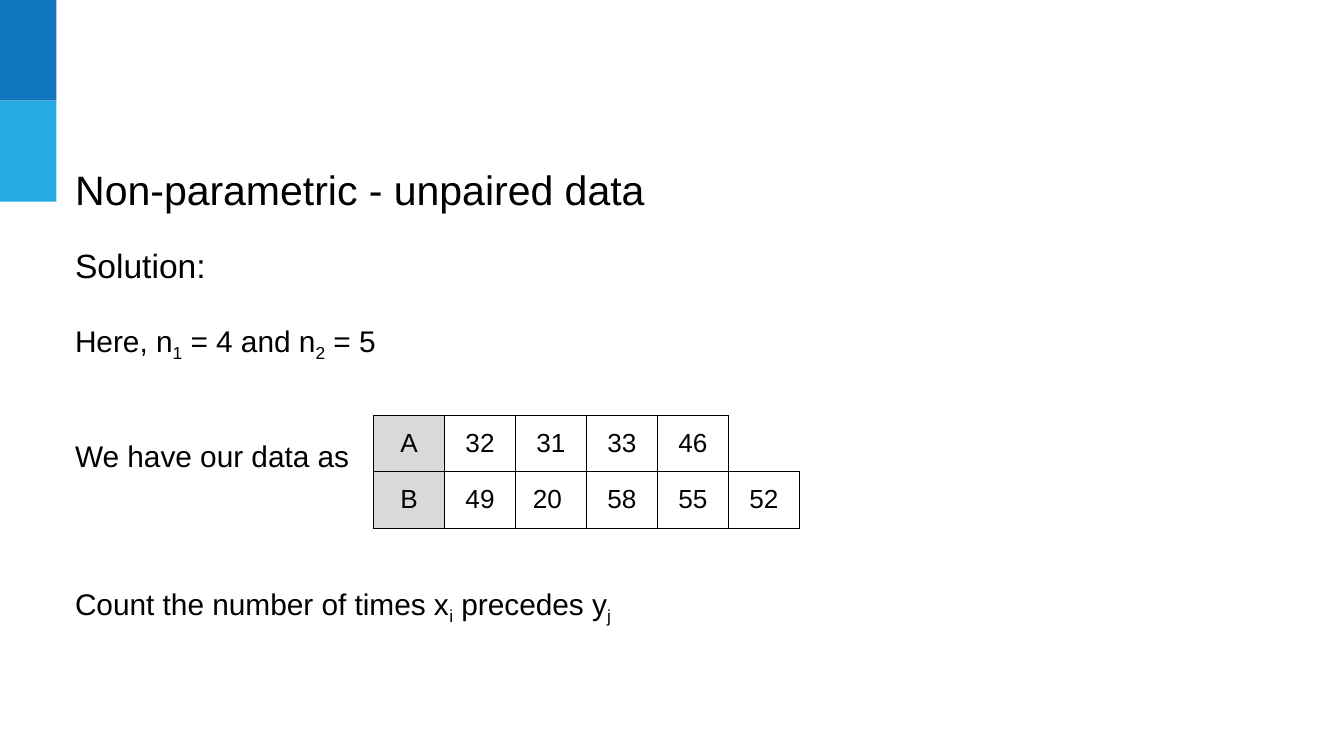
import dataclasses

import lxml.etree
import pptx
import pptx.dml.color
import pptx.enum.shapes
import pptx.enum.text
import pptx.oxml.ns
import pptx.util

Inches = pptx.util.Inches
Pt = pptx.util.Pt


@dataclasses.dataclass(frozen=True)
class Theme:
    """Colours, font and type sizes of the slide."""
    font: str = "Arial"
    text: str = "000000"
    dark_blue: str = "0F75BD"
    light_blue: str = "25AAE2"
    header: str = "D9D9D9"
    border: str = "000000"
    border_width: float = 0.75
    title_size: int = 22
    heading_size: int = 18
    body_size: int = 16
    table_size: int = 14


THEME = Theme()
MARGIN = Inches(0.1)


def colour(value):
    """Return an RGB colour from its hex value."""
    return pptx.dml.color.RGBColor.from_string(value)


def add_run(paragraph, text, size, subscript=False):
    """Append one formatted run to a paragraph."""
    run = paragraph.add_run()
    run.text = text
    run.font.name = THEME.font
    run.font.size = Pt(size)
    run.font.color.rgb = colour(THEME.text)
    if subscript:
        run.font._element.set("baseline", "-25000")


def prepare_frame(text_frame):
    """Give a text frame its margins, wrapping and top anchor."""
    text_frame.margin_left = text_frame.margin_right = MARGIN
    text_frame.margin_top = text_frame.margin_bottom = MARGIN
    text_frame.word_wrap = True
    text_frame.auto_size = pptx.enum.text.MSO_AUTO_SIZE.NONE
    text_frame.vertical_anchor = pptx.enum.text.MSO_ANCHOR.TOP


def add_side_band(slide, left, top, width, height):
    """Stack the two blue blocks in the given box."""
    fills = (THEME.dark_blue, THEME.light_blue)
    block_height = height / len(fills)
    for index, fill in enumerate(fills):
        block = slide.shapes.add_shape(
            pptx.enum.shapes.MSO_SHAPE.RECTANGLE, Inches(left),
            Inches(top + index * block_height), Inches(width), Inches(block_height))
        block.shadow.inherit = False
        block.fill.solid()
        block.fill.fore_color.rgb = colour(fill)
        block.line.fill.background()


def place_title(slide, text, left, top, width, height):
    """Move the title placeholder to the box and fill it."""
    title = slide.shapes.title
    title.left, title.top = Inches(left), Inches(top)
    title.width, title.height = Inches(width), Inches(height)
    prepare_frame(title.text_frame)
    paragraph = title.text_frame.paragraphs[0]
    paragraph.alignment = pptx.enum.text.PP_ALIGN.LEFT
    paragraph.line_spacing = 1.15
    paragraph.space_after = Pt(16)
    add_run(paragraph, text, THEME.title_size)


def add_solution(slide, lines, left, top, width, height):
    """Write the solution steps; every second part of a line is a subscript."""
    box = slide.shapes.add_textbox(
        Inches(left), Inches(top), Inches(width), Inches(height))
    prepare_frame(box.text_frame)
    for index, (space_before, size, parts) in enumerate(lines):
        paragraph = box.text_frame.add_paragraph() if index else box.text_frame.paragraphs[0]
        paragraph.space_before = Pt(space_before)
        for position, part in enumerate(parts):
            add_run(paragraph, part, size, subscript=position % 2 == 1)


def set_borders(cell, sides):
    """Draw the named sides of a cell and hide the others."""
    properties = cell._tc.get_or_add_tcPr()
    for index, side in enumerate("LRTB"):
        line = lxml.etree.Element(
            pptx.oxml.ns.qn(f"a:ln{side}"), w=str(int(Pt(THEME.border_width))))
        if side in sides:
            fill = lxml.etree.SubElement(line, pptx.oxml.ns.qn("a:solidFill"))
            lxml.etree.SubElement(fill, pptx.oxml.ns.qn("a:srgbClr"), val=THEME.border)
        else:
            lxml.etree.SubElement(line, pptx.oxml.ns.qn("a:noFill"))
        properties.insert(index, line)


def add_data_table(slide, rows, left, top, width, height):
    """Add the samples table, leaving cells without a value open."""
    column_count = max(len(row) for row in rows)
    table = slide.shapes.add_table(
        len(rows), column_count, Inches(left), Inches(top),
        Inches(width), Inches(height)).table
    table.first_row = table.horz_banding = False
    for row_index, row in enumerate(rows):
        for column_index in range(column_count):
            cell = table.cell(row_index, column_index)
            has_value = column_index < len(row)
            margin = MARGIN if has_value else 0
            cell.margin_left = cell.margin_right = margin
            cell.margin_top = cell.margin_bottom = margin
            if column_index == 0:
                cell.fill.solid()
                cell.fill.fore_color.rgb = colour(THEME.header)
            else:
                cell.fill.background()
            set_borders(cell, "LRTB" if has_value else "LB")
            if has_value:
                paragraph = cell.text_frame.paragraphs[0]
                paragraph.alignment = pptx.enum.text.PP_ALIGN.CENTER
                add_run(paragraph, row[column_index], THEME.table_size)


def main():
    """Build and save the presentation."""
    presentation = pptx.Presentation()
    presentation.slide_width = Inches(10)
    presentation.slide_height = Inches(10 * 9 / 16)
    slide = presentation.slides.add_slide(presentation.slide_layouts[5])
    add_side_band(slide, 0, 0, 0.42, 1.5)
    place_title(slide, "Non-parametric - unpaired data", 0.46, 1.07, 5.84, 0.43)
    lines = (
        (0, THEME.heading_size, ("Solution:",)),
        (20, THEME.body_size, ("Here, n", "1", " = 4 and n", "2", " = 5")),
        (40, THEME.body_size, ("We have our data as",)),
        (60, THEME.body_size, ("Count the number of times x", "i", " precedes y", "j")),
    )
    add_solution(slide, lines, 0.46, 1.72, 7.35, 3.78)
    rows = (
        ("A", "32", "31", "33", "46"),
        ("B", "49", "20 ", "58", "55", "52"),
    )
    add_data_table(slide, rows, 2.78, 3.09, 3.17, 0.84)
    presentation.save("out.pptx")


if __name__ == "__main__":
    main()
